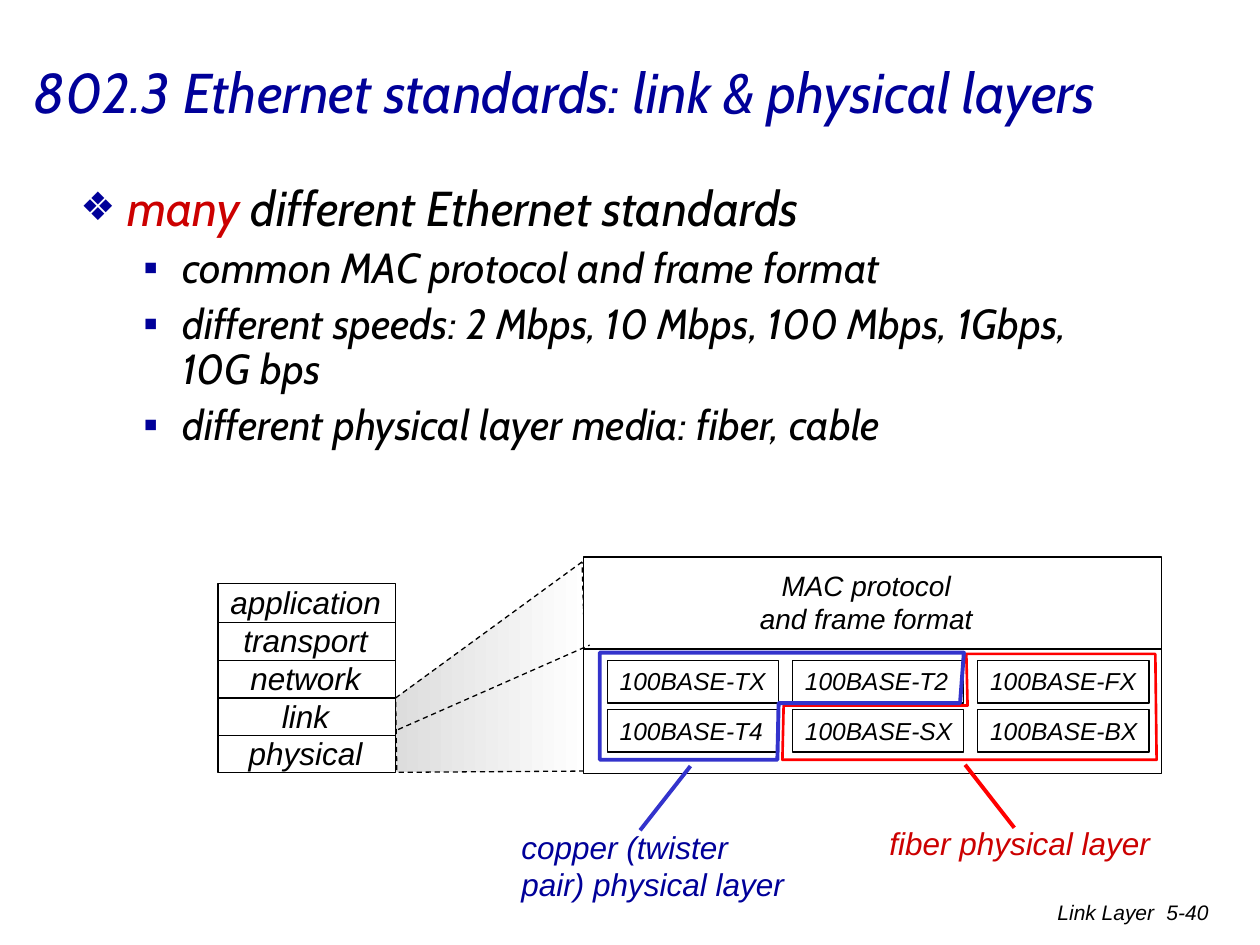
from dataclasses import dataclass

from lxml.etree import SubElement
from pptx import Presentation
from pptx.dml.color import RGBColor as Rgb
from pptx.enum.dml import MSO_LINE_DASH_STYLE as Dash
from pptx.enum.shapes import MSO_CONNECTOR as Conn, MSO_SHAPE as Kind
from pptx.enum.text import MSO_ANCHOR as Anchor, MSO_AUTO_SIZE as Auto, PP_ALIGN as Align
from pptx.oxml.ns import qn
from pptx.util import Inches, Pt


@dataclass(frozen=True)
class Theme:
    black: str = "000000"
    white: str = "FFFFFF"
    gray: str = "DDDDDD"
    navy: str = "000099"
    blue: str = "3333CC"
    red: str = "FF0000"
    crimson: str = "CC0000"
    head: str = "Cabin"
    sans: str = "Arial"
    title: int = 32
    lead: int = 28
    body: int = 24
    label: int = 18
    mac: int = 16
    chip: int = 14
    foot: int = 12
    thin: float = 0.75
    mid: float = 1.5
    thick: float = 2.25


@dataclass(frozen=True)
class Box:
    x: float
    y: float
    w: float
    h: float

    def sub(self, x, y, w, h):
        """Box whose corner is offset from the corner of this one."""
        return Box(self.x + x, self.y + y, w, h)

    def spot(self, x, y):
        return Inches(self.x + x), Inches(self.y + y)

    def emu(self):
        return [Inches(n) for n in (self.x, self.y, self.w, self.h)]


T = Theme()


def color(code):
    return Rgb.from_string(code)


def bullet(para, mark, left, hang, scale):
    prop = para._p.get_or_add_pPr()
    prop.set("marL", str(Inches(left)))
    prop.set("indent", str(-Inches(hang)))
    tint = SubElement(prop, qn("a:buClr"))
    SubElement(tint, qn("a:srgbClr"), val=T.navy)
    SubElement(prop, qn("a:buSzPct"), val=str(scale * 1000))
    SubElement(prop, qn("a:buFont"), typeface=T.sans)
    SubElement(prop, qn("a:buChar"), char=mark)


def write(para, text, size=T.label, font=T.sans, tint=T.black):
    run = para.add_run()
    run.text = text
    run.font.size = Pt(size)
    run.font.name = font
    run.font.italic = True
    run.font.color.rgb = color(tint)


def fill_text(shape, text, align=Align.LEFT, anchor=Anchor.TOP, wrap=True, **style):
    """Put text into a shape, one paragraph for each line."""
    frame = shape.text_frame
    frame.word_wrap = wrap
    frame.auto_size = Auto.NONE
    frame.vertical_anchor = anchor
    if not wrap and align == Align.LEFT:
        frame.margin_right = Inches(0)
    for i, line in enumerate(text.split("\n")):
        para = frame.add_paragraph() if i else frame.paragraphs[0]
        para.alignment = align
        write(para, line, **style)


def add_text(slide, box, text, **style):
    fill_text(slide.shapes.add_textbox(*box.emu()), text, **style)


def outline(shape, tint=T.black, width=T.thin):
    shape.shadow.inherit = False
    shape.line.color.rgb = color(tint)
    shape.line.width = Pt(width)


def add_rect(slide, box, fill=None):
    rect = slide.shapes.add_shape(Kind.RECTANGLE, *box.emu())
    outline(rect)
    if fill:
        rect.fill.solid()
        rect.fill.fore_color.rgb = color(fill)
    else:
        rect.fill.background()
    return rect


def add_line(slide, start, end, tint=T.black, width=T.thin, dash=None):
    line = slide.shapes.add_connector(Conn.STRAIGHT, *start, *end)
    line.line.color.rgb = color(tint)
    line.line.width = Pt(width)
    line.line.dash_style = dash
    SubElement(line._element.spPr, qn("a:effectLst"))


def add_poly(slide, box, points, **style):
    spots = [box.spot(*point) for point in points]
    path = slide.shapes.build_freeform(*spots[0], scale=1.0)
    path.add_line_segments(spots[1:], close=True)
    poly = path.convert_to_shape()
    outline(poly, **style)
    poly.fill.background()
    return poly


def body(slide, box):
    shape = slide.shapes.add_textbox(*box.emu())
    frame = shape.text_frame
    frame.word_wrap = True
    lead = frame.paragraphs[0]
    bullet(lead, "❖", 0.37, 0.37, 80)
    lead.line_spacing = 0.9
    write(lead, "many ", T.lead, T.head, T.crimson)
    write(lead, "different Ethernet standards", T.lead, T.head)
    for text in ("common MAC protocol and frame format",
                 "different speeds: 2 Mbps, 10 Mbps, 100 Mbps, 1Gbps, 10G bps",
                 "different physical layer media: fiber, cable"):
        para = frame.add_paragraph()
        para.level = 1
        bullet(para, "▪", 0.81, 0.31, 100)
        para.line_spacing = 0.9
        para.space_before = Pt(6)
        write(para, text, T.body, T.head)


def wedge(slide, box):
    """Dashed zoom from the lower layers to the detail panel."""
    poly = add_poly(slide, box, [(1.48, 0), (0, 1.08), (0.01, box.h), (1.53, 1.66)])
    poly.line.dash_style = Dash.DASH
    poly.fill.gradient()
    poly.fill.gradient_angle = 180
    for stop, tint in zip(poly.fill.gradient_stops, (T.white, T.gray)):
        stop.color.rgb = color(tint)


def stack(slide, box):
    add_rect(slide, box, T.white)
    names = ("application", "transport", "network", "link", "physical")
    add_text(slide, box.sub(-0.1, -0.05, 1.59, 1.6), "\n".join(names),
             align=Align.CENTER, wrap=False)
    for i in range(1, len(names)):
        y = i * box.h / len(names) + 0.01
        add_line(slide, box.spot(0, y), box.spot(box.w, y))


def panel(slide, box):
    add_rect(slide, box, T.white)
    add_line(slide, box.spot(0, 0.73), box.spot(box.w, 0.73))
    add_text(slide, box.sub(1.2, 0.04, 2.09, 0.64), "MAC protocol\nand frame format",
             align=Align.CENTER, wrap=False, size=T.mac)
    rows = (("TX", "T2", "FX"), ("T4", "SX", "BX"))
    for r, row in enumerate(rows):
        for c, kind in enumerate(row):
            cell = box.sub(0.19 + 1.47 * c, 0.82 + 0.39 * r, 1.36, 0.34)
            fill_text(add_rect(slide, cell), "100BASE-" + kind, wrap=False, size=T.chip)


def callout(slide, box, points, tail, tip, tint, width):
    """Outline around a set of cells, with a pointer to its label."""
    add_poly(slide, box, points, tint=tint, width=width)
    add_line(slide, box.spot(*tail), box.spot(*tip), tint, T.thick)


def fiber(slide, box):
    points = [(1.46, 0), (1.47, 0.41), (0.01, 0.41), (0, box.h), (box.w, box.h), (2.96, 0)]
    callout(slide, box, points, (1.45, 0.88), (1.84, 1.38), T.red, T.mid)
    add_text(slide, box.sub(0.75, 1.3, 2.27, 0.4), "fiber physical layer",
             wrap=False, tint=T.crimson)


def copper(slide, box):
    points = [(box.w, 0), (2.86, 0.4), (1.42, 0.4), (1.41, 0.85), (0, 0.85), (0, 0)]
    callout(slide, box, points, (0.72, 0.9), (0.32, 1.41), T.blue, T.thick)
    add_text(slide, box.sub(-0.72, 1.34, 2.28, 0.7), "copper (twister\npair) physical layer",
             wrap=False, tint=T.navy)


def footer(slide, box):
    for x, w, text in ((0, 3.17, "Link Layer"), (2.86, 0.74, "5-40")):
        add_text(slide, box.sub(x, 0, w, box.h), text, align=Align.RIGHT, size=T.foot)


def main():
    deck = Presentation()
    deck.slide_width, deck.slide_height = Inches(10), Inches(7.5)
    slide = deck.slides.add_slide(deck.slide_layouts[6])
    footer(slide, Box(6.09, 7.09, 3.6, 0.5))
    add_text(slide, Box(0.17, 0.1, 9.53, 1.25),
             "802.3 Ethernet standards: link & physical layers",
             anchor=Anchor.MIDDLE, size=T.title, font=T.head, tint=T.navy)
    body(slide, Box(0.54, 1.41, 8.5, 2.3))
    wedge(slide, Box(3.14, 4.46, 1.52, 1.67))
    stack(slide, Box(1.73, 4.63, 1.41, 1.5))
    panel(slide, Box(4.63, 4.42, 4.59, 1.72))
    zoom = Box(3.16, 5.12, 1.52, 0.67)
    add_line(slide, zoom.spot(0, zoom.h), zoom.spot(zoom.w, 0), dash=Dash.DASH)
    fiber(slide, Box(6.21, 5.19, 2.97, 0.84))
    copper(slide, Box(4.76, 5.18, 2.89, 0.85))
    deck.save("out.pptx")


if __name__ == "__main__":
    main()
